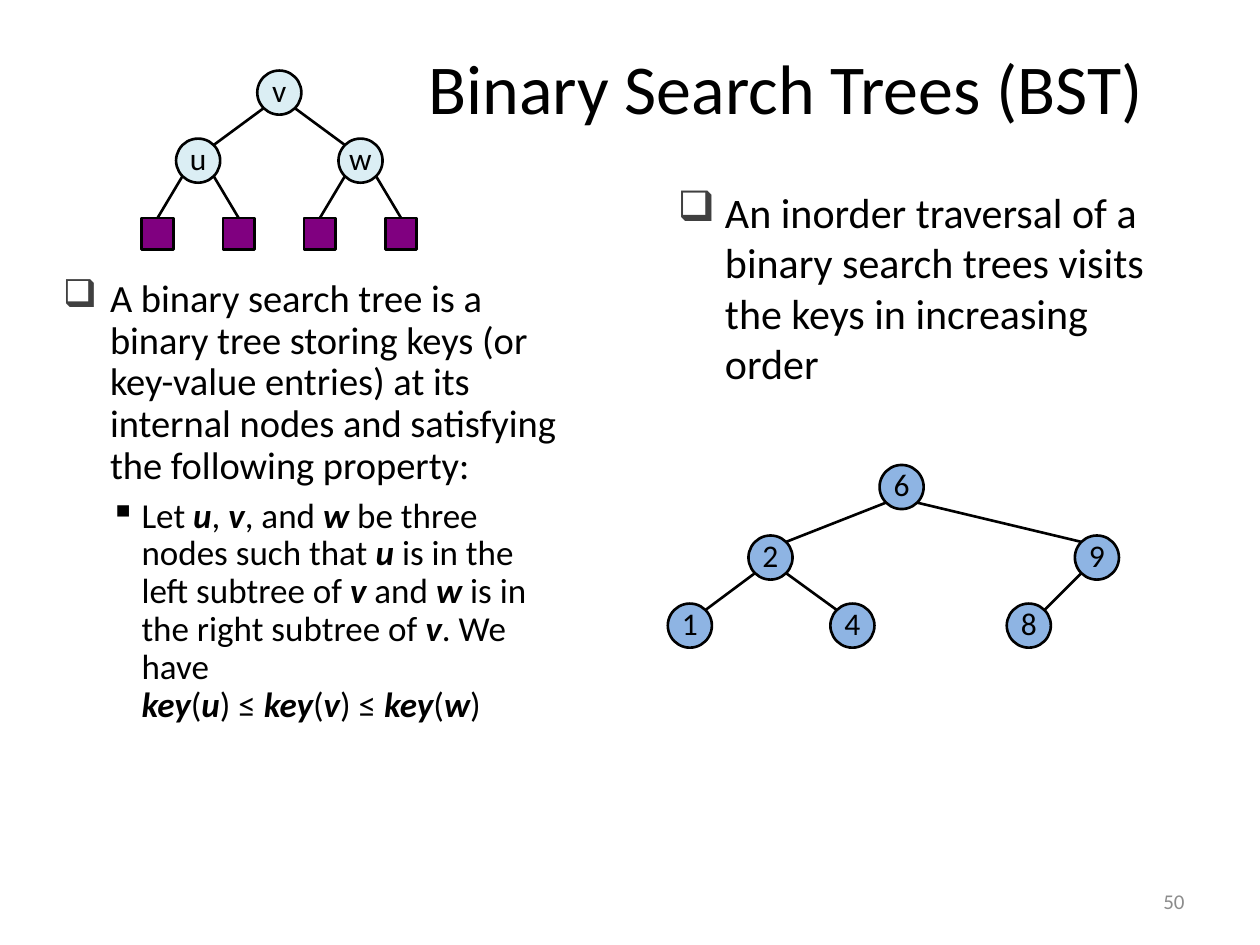
from lxml.etree import SubElement
from pptx import Presentation
from pptx.dml.color import RGBColor
from pptx.enum.shapes import MSO_CONNECTOR, MSO_SHAPE
from pptx.enum.text import MSO_ANCHOR, PP_ALIGN
from pptx.oxml.ns import qn
from pptx.util import Pt

THEME = {
    "font": "Calibri", "text": "000000", "bullet": "404040", "muted": "8C8C8C",
    "light": "DBEEF4", "blue": "8EB4E3", "leaf": "800080",
    "title": 40, "right": 24, "left": 22, "sub": 20, "node": 18, "number": 12,
    "line": 1.5, "node_size": 25.2, "leaf_size": 18,
}

TITLE = ("Binary Search Trees (BST)", (200.9, 21.6, 496.1, 55.4))
PAGE = ("50", (516.2, 500.4, 167.8, 28.8))
LEFT_BOX = (28.8, 156.2, 300.2, 387.4)
RIGHT_BOX = (380.2, 103, 300.2, 126)
DEFINITION = ("A binary search tree is a binary tree storing keys (or key-value "
              "entries) at its internal nodes and satisfying the following property:")
PROPERTY = [
    "Let *u*, *v*, and *w* be three nodes such that *u* is in the left subtree "
    "of *v* and *w* is in the right subtree of *v*. We have ",
    "*key*(*u*) ≤ *key*(*v*) ≤ *key*(*w*)",
]
TRAVERSAL = ("An inorder traversal of a binary search trees visits the keys "
             "in increasing order")

PATTERN_NODES = {"v": (159.6, 52.9, None), "u": (113.2, 91.8, "v"), "w": (206, 91.8, "v")}
LEAF_PARENTS = ["u", "w"]
LEAF_OFFSET, LEAF_TOP = 23.2, 124.6
KEY_NODES = {
    "6": (515.2, 278.3, None), "2": (440.3, 318.6, "6"), "9": (626.8, 318.6, "6"),
    "1": (394.2, 357.5, "2"), "4": (487.1, 357.5, "2"), "8": (587.9, 357.5, "9"),
}


def color(name):
    return RGBColor.from_string(THEME[name])


def add_run(p, text, size, ink="text", strong=False):
    r = p.add_run()
    r.text = text
    r.font.name, r.font.size = THEME["font"], Pt(THEME[size])
    r.font.color.rgb = color(ink)
    if strong:
        r.font.bold = r.font.italic = True


def add_box(s, box, anchor=MSO_ANCHOR.TOP):
    tf = s.shapes.add_textbox(*map(Pt, box)).text_frame
    tf.word_wrap = True
    tf.vertical_anchor = anchor
    return tf


def add_label(s, content, size, ink, align):
    text, box = content
    p = add_box(s, box, MSO_ANCHOR.MIDDLE).paragraphs[0]
    p.alignment = align
    add_run(p, text, size, ink)


def set_bullet(p, char, margin, hang, ink):
    pPr = p._p.get_or_add_pPr()
    pPr.set("marL", str(Pt(margin)))
    pPr.set("indent", str(Pt(-hang)))
    clr = SubElement(pPr, qn("a:buClr"))
    SubElement(clr, qn("a:srgbClr"), val=THEME[ink])
    SubElement(pPr, qn("a:buChar"), char=char)


def add_shape(s, kind, cx, cy, size, fill):
    sp = s.shapes.add_shape(kind, *map(Pt, (cx - size / 2, cy - size / 2, size, size)))
    sp.shadow.inherit = False
    sp.fill.solid()
    sp.fill.fore_color.rgb = color(fill)
    sp.line.color.rgb = color("text")
    sp.line.width = Pt(THEME["line"])
    return sp


def add_edge(s, x1, y1, x2, y2):
    edge = s.shapes.add_connector(MSO_CONNECTOR.STRAIGHT, *map(Pt, (x1, y1, x2, y2)))
    edge.line.color.rgb = color("text")
    edge.line.width = Pt(THEME["line"])
    SubElement(edge._element.spPr, qn("a:effectLst"))
    return edge


def add_tree(s, nodes, fill):
    d = THEME["node_size"] / 2 * 0.71
    for label, (x, y, parent) in nodes.items():
        if parent:
            px, py, _ = nodes[parent]
            side = 1 if x > px else -1
            add_edge(s, px + side * d, py + d, x - side * d, y - d)
        sp = add_shape(s, MSO_SHAPE.OVAL, x, y, THEME["node_size"], fill)
        tf = sp.text_frame
        tf.margin_left = tf.margin_right = tf.margin_top = 0
        tf.margin_bottom = Pt(3.6)
        tf.word_wrap = False
        tf.vertical_anchor = MSO_ANCHOR.MIDDLE
        p = tf.paragraphs[0]
        p.alignment = PP_ALIGN.CENTER
        add_run(p, label, "node")


def add_leaves(s):
    d, size = THEME["node_size"] / 2 * 0.71, THEME["leaf_size"]
    for parent in LEAF_PARENTS:
        px, py, _ = PATTERN_NODES[parent]
        for side in (-1, 1):
            x = px + side * LEAF_OFFSET
            leaf = add_shape(s, MSO_SHAPE.RECTANGLE, x, LEAF_TOP + size / 2, size, "leaf")
            edge = add_edge(s, px + side * d, py + d, x, LEAF_TOP)
            edge.end_connect(leaf, 0)


def add_texts(s):
    tf = add_box(s, LEFT_BOX)
    p = tf.paragraphs[0]
    p.line_spacing = 0.9
    set_bullet(p, "❑", 27, 27, "bullet")
    add_run(p, DEFINITION, "left")

    p = tf.add_paragraph()
    p.level = 1
    p.line_spacing = 0.9
    p.space_before = Pt(6)
    set_bullet(p, "▪", 45, 18, "text")
    for i, line in enumerate(PROPERTY):
        if i:
            p.add_line_break()
        for j, part in enumerate(line.split("*")):
            if part:
                add_run(p, part, "sub", strong=j % 2 == 1)

    p = add_box(s, RIGHT_BOX).paragraphs[0]
    set_bullet(p, "❑", 27, 27, "bullet")
    add_run(p, TRAVERSAL, "right")


def main():
    prs = Presentation()
    prs.slide_width, prs.slide_height = Pt(720), Pt(540)
    s = prs.slides.add_slide(prs.slide_layouts[6])
    add_label(s, PAGE, "number", "muted", PP_ALIGN.RIGHT)
    add_label(s, TITLE, "title", "text", PP_ALIGN.CENTER)
    add_texts(s)
    add_tree(s, KEY_NODES, "blue")
    add_tree(s, PATTERN_NODES, "light")
    add_leaves(s)
    prs.save("out.pptx")


if __name__ == "__main__":
    main()
